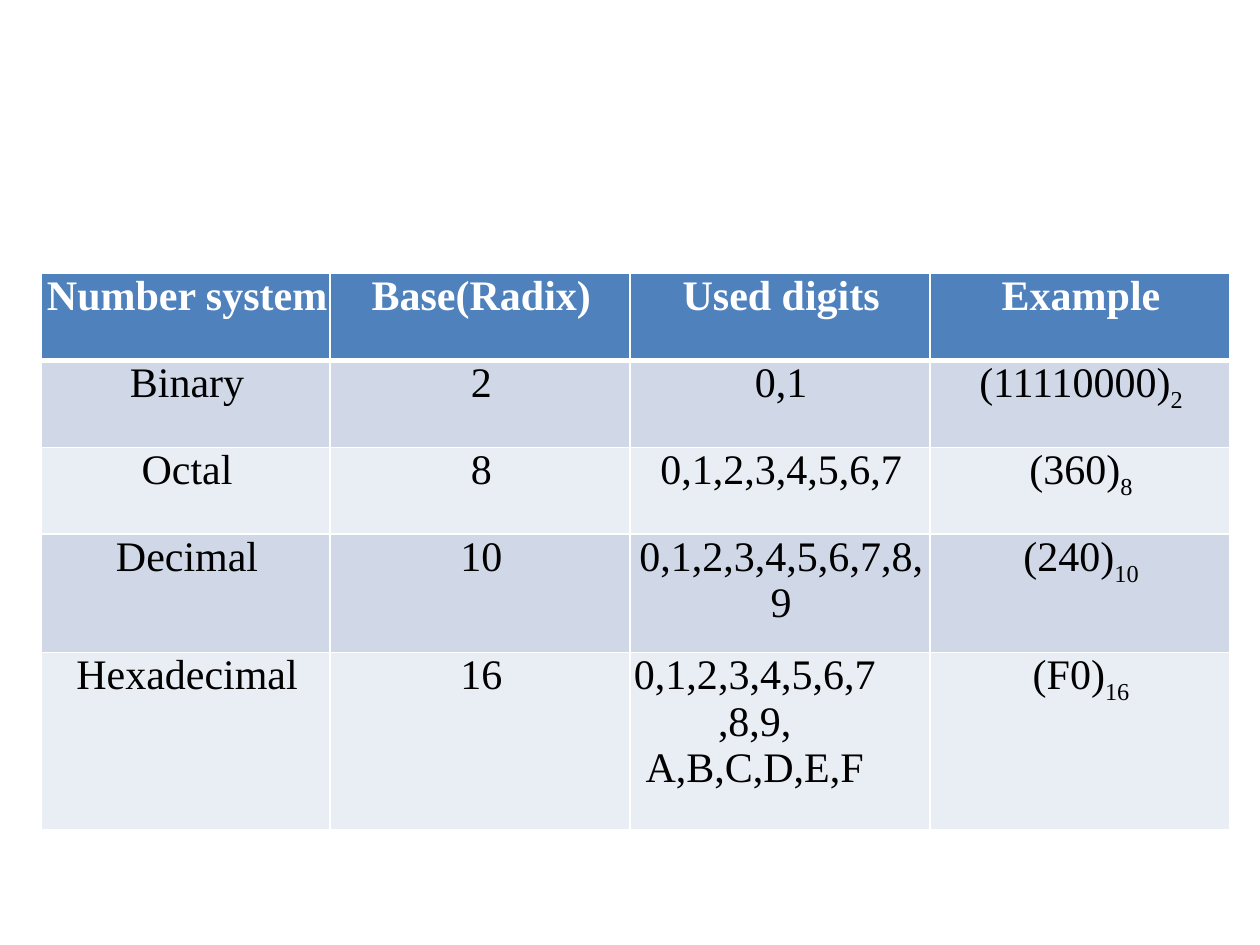
from lxml import etree
from pptx import Presentation
from pptx.dml.color import RGBColor
from pptx.enum.text import PP_ALIGN
from pptx.oxml.ns import qn
from pptx.util import Inches, Pt

CENTER = PP_ALIGN.CENTER
FONT = "Times New Roman"
INDENT = Inches(0.02)
COLORS = {"head": "4F81BD", "odd": "D0D8E8", "even": "E9EDF4",
          "line": "FFFFFF", "light": "FFFFFF", "dark": "000000"}
COLS = [2.29, 2.38, 2.38, 2.38]
ROWS = [0.69, 0.69, 0.69, 0.94, 1.41]
HEADS = ["Number system", "Base(Radix)", "Used digits", "Example"]
SYSTEMS = [
    ("Binary", "2", "0,1", "(11110000)"),
    ("Octal", "8", "0,1,2,3,4,5,6,7", "(360)"),
    ("Decimal", "10", "0,1,2,3,4,5,6,7,8,9", "(240)"),
    ("Hexadecimal", "16", "0,1,2,3,4,5,6,7,8,9, A,B,C,D,E,F", "(F0)"),
]


def set_lines(cell, base):
    props = cell._tc.get_or_add_tcPr()
    widths = {"a:lnL": 1, "a:lnR": 1, "a:lnT": 1, "a:lnB": base}
    for spot, (tag, width) in enumerate(widths.items()):
        line = etree.Element(qn(tag), w=str(Pt(width)))
        fill = etree.SubElement(line, qn("a:solidFill"))
        etree.SubElement(fill, qn("a:srgbClr"), val=COLORS["line"])
        props.insert(spot, line)


def fill_cell(cell, text, fill, ink, bold=False, sub=""):
    cell.margin_left = cell.margin_right = 0
    cell.margin_top = cell.margin_bottom = 0
    cell.fill.solid()
    cell.fill.fore_color.rgb = RGBColor.from_string(COLORS[fill])
    para = cell.text_frame.paragraphs[0]
    para.text = text
    para.alignment = CENTER
    para._p.get_or_add_pPr().set("marL", str(INDENT))
    if sub:
        para.add_run().text = sub
    for run in para.runs:
        run.font.name = FONT
        run.font.size = Pt(24)
        run.font.bold = bold
        run.font.color.rgb = RGBColor.from_string(COLORS[ink])
    if sub:
        para.runs[-1].font._element.set("baseline", "-25000")


def draw_table(slide, left, top, width, height):
    frame = slide.shapes.add_table(len(ROWS), len(COLS), left, top, width, height)
    table = frame.table
    for col, share in zip(table.columns, COLS):
        col.width = int(width * share / sum(COLS))
    for row, share in zip(table.rows, ROWS):
        row.height = int(height * share / sum(ROWS))
    for col, text in enumerate(HEADS):
        cell = table.cell(0, col)
        fill_cell(cell, text, "head", "light", bold=True)
        set_lines(cell, 3)
    for row, system in enumerate(SYSTEMS, 1):
        fill = "odd" if row % 2 else "even"
        for col, text in enumerate(system):
            cell = table.cell(row, col)
            sub = system[1] if col == len(COLS) - 1 else ""
            fill_cell(cell, text, fill, "dark", sub=sub)
            set_lines(cell, 1)
            if row == 1:
                cell._tc.tcPr.find(qn("a:lnT")).set("w", str(Pt(3)))
    table.cell(len(SYSTEMS), 2).margin_right = Inches(0.42)


def main():
    deck = Presentation()
    deck.slide_width, deck.slide_height = Inches(10), Inches(7.5)
    slide = deck.slides.add_slide(deck.slide_layouts[6])
    draw_table(slide, Inches(0.33), Inches(2.17),
               Inches(sum(COLS)), Inches(sum(ROWS)))
    deck.save("out.pptx")


if __name__ == "__main__":
    main()
